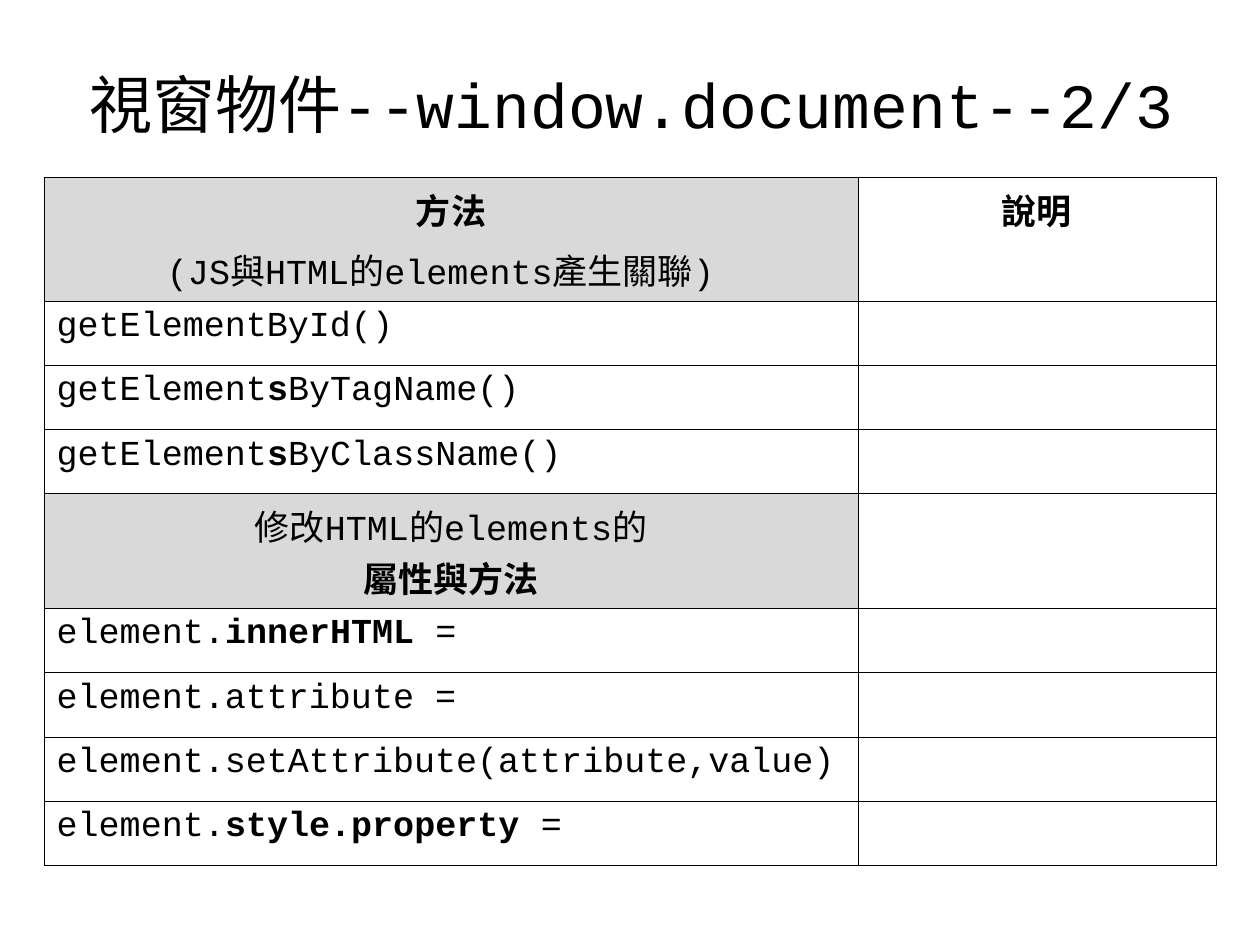
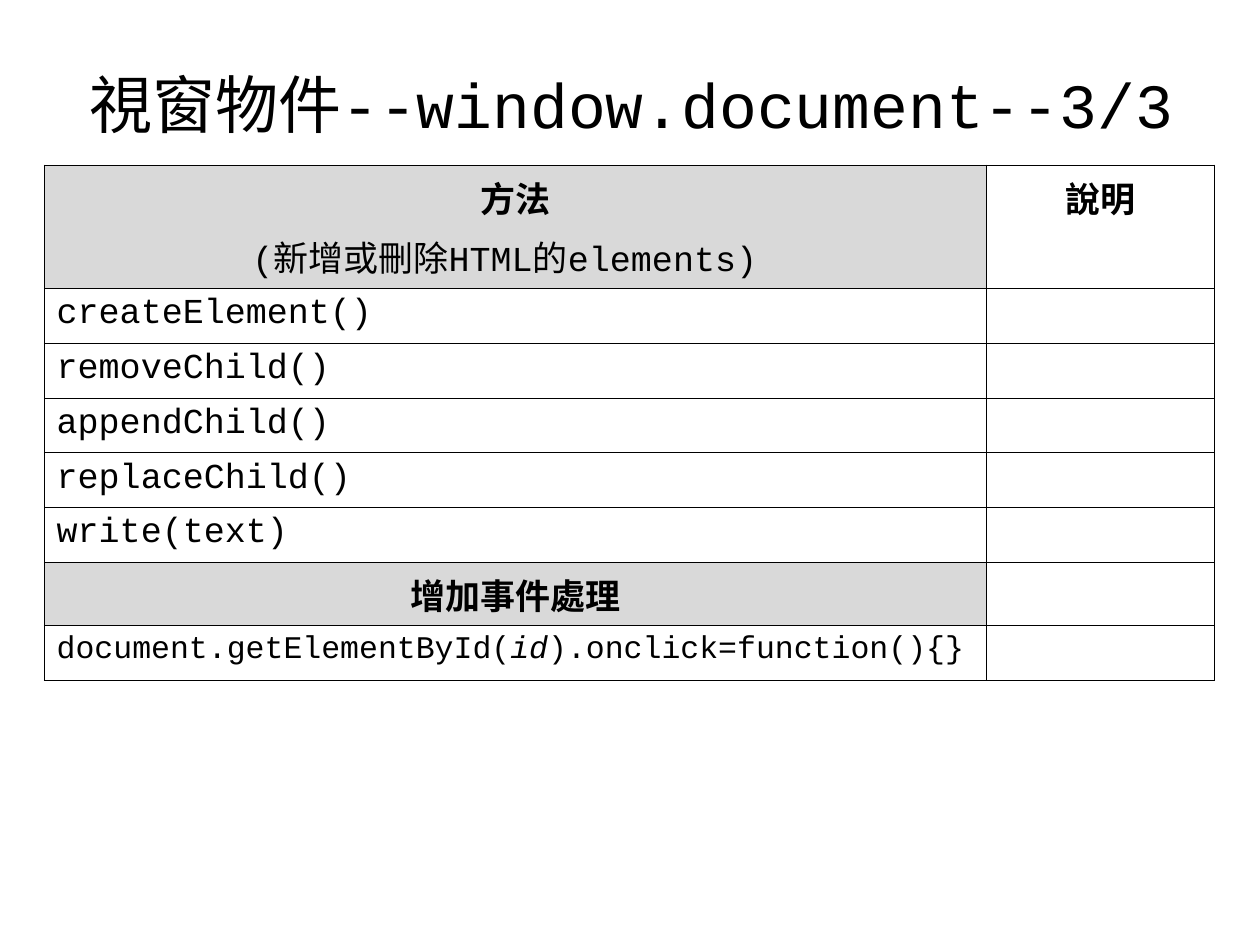
from dataclasses import dataclass

from lxml import etree
from pptx import Presentation
from pptx.dml.color import RGBColor
from pptx.enum import text
from pptx.oxml import ns
from pptx.util import Inches, Pt

BLACK = "000000"
GREY = "D9D9D9"
MONO = "Courier New"
SANS = "Arial"
BORDER_WIDTH = Pt(0.45)
TABLE_LEFT = 0.35


@dataclass(frozen=True)
class Run:
    text: str
    bold: bool = False
    italic: bool = False
    size: float = 20
    font: str = MONO


@dataclass(frozen=True)
class Row:
    """A table row: paragraphs of the method cell and of the note cell."""
    height: float
    method: list[list[Run]]
    note: list[list[Run]]
    heading: bool = False
    space: float = 0


@dataclass(frozen=True)
class TableSlide:
    title: str
    top: float
    columns: tuple[float, float]
    rows: list[Row]


def rgb(color: str) -> RGBColor:
    return RGBColor.from_string(color)


def add_run(p, content: str, *, size: float = 20, font: str = MONO,
            bold: bool = False, italic: bool = False, color: str = BLACK) -> None:
    r = p.add_run()
    r.text = content
    r.font.size = Pt(size)
    r.font.name = font
    r.font.bold = bold
    r.font.italic = italic
    r.font.color.rgb = rgb(color)


def header(subtitle: str, height: float) -> Row:
    return Row(height, [[Run("方法", bold=True)], [Run(subtitle)]],
               [[Run("說明", bold=True)]], heading=True, space=5)


def section(height: float, *paragraphs: list[Run]) -> Row:
    return Row(height, list(paragraphs), [], heading=True)


def code(height: float, *runs: Run) -> Row:
    return Row(height, [list(runs)], [])


def set_borders(cell) -> None:
    tc_pr = cell._tc.get_or_add_tcPr()
    for i, side in enumerate(("lnL", "lnR", "lnT", "lnB")):
        ln = etree.Element(ns.qn(f"a:{side}"), w=str(BORDER_WIDTH))
        fill = etree.SubElement(ln, ns.qn("a:solidFill"))
        etree.SubElement(fill, ns.qn("a:srgbClr"), val=BLACK)
        tc_pr.insert(i, ln)


def fill_cell(cell, paragraphs: list[list[Run]], row: Row, shaded: bool) -> None:
    if shaded:
        cell.fill.solid()
        cell.fill.fore_color.rgb = rgb(GREY)
    else:
        cell.fill.background()
    set_borders(cell)
    tf = cell.text_frame
    for i, runs in enumerate(paragraphs):
        p = tf.add_paragraph() if i else tf.paragraphs[0]
        p.alignment = text.PP_ALIGN.CENTER if row.heading else text.PP_ALIGN.LEFT
        if i:
            p.space_before = Pt(row.space)
        for run in runs:
            add_run(p, run.text, size=run.size, font=run.font,
                    bold=run.bold, italic=run.italic)


def set_title(slide, title: str) -> None:
    sp = slide.shapes.title
    sp.left, sp.top = Inches(0.51), Inches(0.41)
    sp.width, sp.height = Inches(9), Inches(0.82)
    tf = sp.text_frame
    tf.auto_size = text.MSO_AUTO_SIZE.NONE
    tf.vertical_anchor = text.MSO_ANCHOR.MIDDLE
    p = tf.paragraphs[0]
    p.alignment = text.PP_ALIGN.CENTER
    add_run(p, title, size=36)


def add_method_table(slide, content: TableSlide) -> None:
    rows = content.rows
    table = slide.shapes.add_table(
        len(rows), 2, Inches(TABLE_LEFT), Inches(content.top),
        Inches(sum(content.columns)), Inches(sum(row.height for row in rows))).table
    table.first_row = table.horz_banding = False
    for column, width in zip(table.columns, content.columns):
        column.width = Inches(width)
    for i, row in enumerate(rows):
        table.rows[i].height = Inches(row.height)
        fill_cell(table.cell(i, 0), row.method, row, shaded=row.heading)
        fill_cell(table.cell(i, 1), row.note, row, shaded=False)


SLIDES = [
    TableSlide("視窗物件--window.document--2/3", 1.41, (6.46, 2.84), [
        header("(JS與HTML的elements產生關聯) ", 0.92),
        code(0.51, Run("getElementById()")),
        *(code(0.51, Run("getElement"), Run("s", bold=True), Run(f"By{key}Name()"))
          for key in ("Tag", "Class")),
        section(0.85, [Run("修改HTML的elements的")], [Run("屬性與方法", bold=True)]),
        code(0.51, Run("element."), Run("innerHTML ", bold=True), Run("=")),
        code(0.51, Run("element.attribute =")),
        code(0.51, Run("element.setAttribute(attribute,value)")),
        code(0.51, Run("element."), Run("style.property ", bold=True), Run("=")),
    ]),
    TableSlide("視窗物件--window.document--3/3", 1.31, (7.48, 1.81), [
        header("(新增或刪除HTML的elements) ", 0.82),
        *(code(0.435, Run(call)) for call in (
            "createElement()", "removeChild()", "appendChild()",
            "replaceChild()", "write(text)")),
        section(0.5, [Run("增加事件處理", bold=True, font=SANS)]),
        code(0.43, Run("document.getElementById(", size=18),
             Run("id", italic=True, size=18),
             Run(").onclick=function(){}", size=18)),
    ]),
]


def main() -> None:
    prs = Presentation()
    prs.slide_width, prs.slide_height = Inches(10), Inches(7.5)
    title_only = prs.slide_layouts[5]
    for content in SLIDES:
        slide = prs.slides.add_slide(title_only)
        set_title(slide, content.title)
        add_method_table(slide, content)
    prs.save("out.pptx")


if __name__ == "__main__":
    main()
